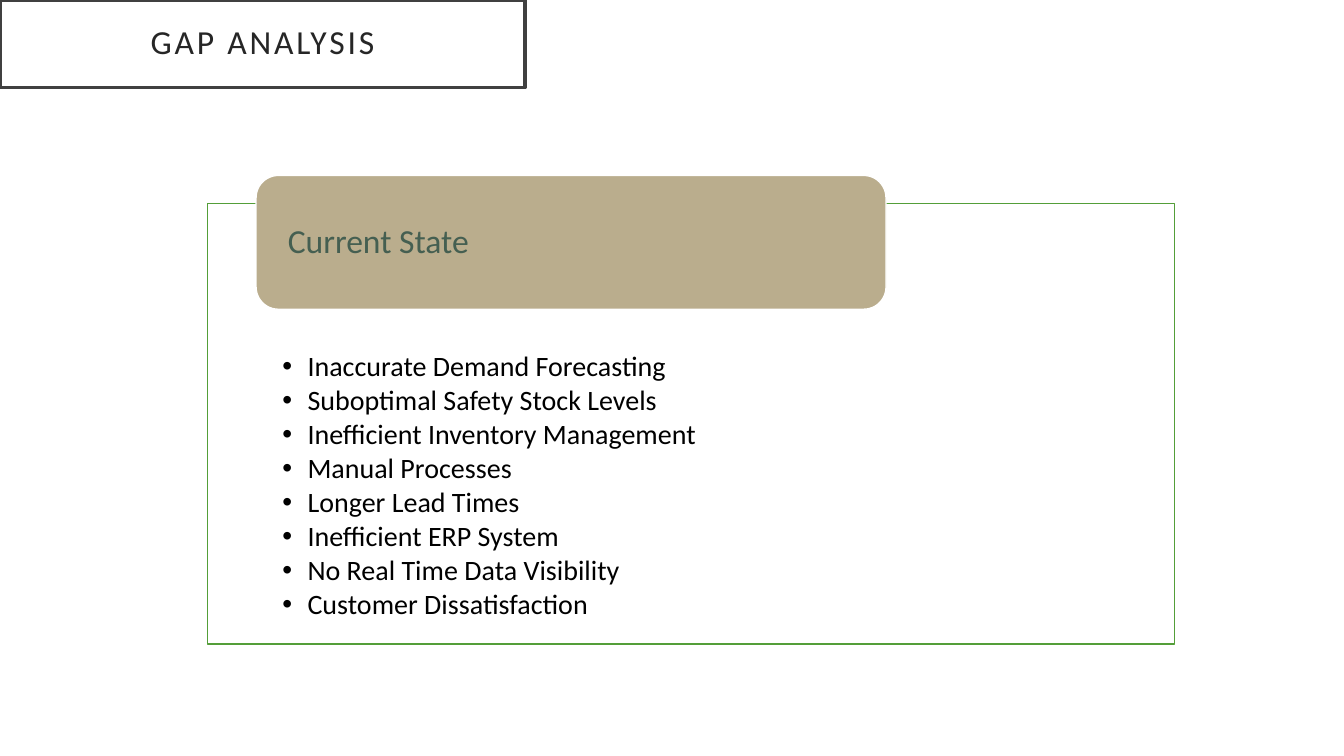
from lxml import etree
from pptx import Presentation
from pptx.dml.color import RGBColor
from pptx.enum.shapes import MSO_SHAPE
from pptx.enum.text import MSO_ANCHOR, PP_ALIGN
from pptx.oxml.ns import qn
from pptx.util import Pt

RECTANGLE = MSO_SHAPE.RECTANGLE
ROUNDED = MSO_SHAPE.ROUNDED_RECTANGLE
TOP, MIDDLE = MSO_ANCHOR.TOP, MSO_ANCHOR.MIDDLE
LEFT, CENTER = PP_ALIGN.LEFT, PP_ALIGN.CENTER

WHITE = RGBColor(0xFF, 0xFF, 0xFF)
BLACK = RGBColor(0x00, 0x00, 0x00)
CHARCOAL = RGBColor(0x40, 0x40, 0x40)
TITLE_INK = RGBColor(0x26, 0x26, 0x26)
GREEN = RGBColor(0x54, 0x9E, 0x39)
DARK_GREEN = RGBColor(0x45, 0x5F, 0x51)
SAND = RGBColor(0xBA, 0xAD, 0x8D)

FONT = "Calibri"
BULLET_INDENT = Pt(18)
GAPS = [
    "Inaccurate Demand Forecasting",
    "Suboptimal Safety Stock Levels",
    "Inefficient Inventory Management",
    "Manual Processes",
    "Longer Lead Times",
    "Inefficient ERP System",
    "No Real Time Data Visibility",
    "Customer Dissatisfaction",
]


def add_box(slide, kind, bounds, fill, line, line_width, insets, anchor):
    """Add a filled, outlined shape; bounds and insets are in points."""
    box = slide.shapes.add_shape(kind, *(Pt(value) for value in bounds))
    box.shadow.inherit = False
    box.fill.solid()
    box.fill.fore_color.rgb = fill
    box.line.color.rgb = line
    box.line.width = Pt(line_width)
    frame = box.text_frame
    frame.word_wrap = True
    frame.vertical_anchor = anchor
    (frame.margin_left, frame.margin_top,
     frame.margin_right, frame.margin_bottom) = (Pt(inset) for inset in insets)
    return box


def write_line(paragraph, text, size, color, align=LEFT):
    paragraph.alignment = align
    paragraph.line_spacing = 0.9
    run = paragraph.add_run()
    run.text = text
    run.font.name = FONT
    run.font.size = Pt(size)
    run.font.color.rgb = color
    return run


def add_bullet(paragraph):
    properties = paragraph._p.get_or_add_pPr()
    properties.set("marL", str(BULLET_INDENT))
    properties.set("indent", str(-BULLET_INDENT))
    etree.SubElement(properties, qn("a:buFont"), typeface="Arial")
    etree.SubElement(properties, qn("a:buChar"), char="•")


def set_opacity(shape, percent):
    color = shape._element.spPr.find(qn("a:solidFill"))[0]
    etree.SubElement(color, qn("a:alpha"), val=str(percent * 1000))


def add_title(slide):
    title = add_box(slide, RECTANGLE, (0, 0, 375, 62.6), WHITE, CHARCOAL, 2.5,
                    (14.4, 14.4, 14.4, 14.4), MIDDLE)
    run = write_line(title.text_frame.paragraphs[0], "GAP ANALYSIS", 24,
                     TITLE_INK, CENTER)
    run.font._element.set("spc", "200")


def add_gap_panel(slide):
    panel = add_box(slide, RECTANGLE, (148.4, 145.4, 690.4, 314.6), WHITE,
                    GREEN, 1, (53.3, 106.6, 53.3, 11.5), TOP)
    set_opacity(panel, 90)
    frame = panel.text_frame
    for index, gap in enumerate(GAPS):
        paragraph = frame.add_paragraph() if index else frame.paragraphs[0]
        write_line(paragraph, gap, 20, BLACK)
        paragraph.space_after = Pt(2.6)
        add_bullet(paragraph)


def add_panel_heading(slide):
    heading = add_box(slide, ROUNDED, (182.9, 125.3, 450, 95.6), SAND, WHITE, 1,
                      (18, 0, 18, 0), MIDDLE)
    write_line(heading.text_frame.paragraphs[0], "Current State", 24, DARK_GREEN)


def main():
    presentation = Presentation()
    presentation.slide_width = Pt(960)
    presentation.slide_height = Pt(540)
    slide = presentation.slides.add_slide(presentation.slide_layouts[6])
    add_title(slide)
    add_gap_panel(slide)
    add_panel_heading(slide)
    presentation.save("out.pptx")


if __name__ == "__main__":
    main()
